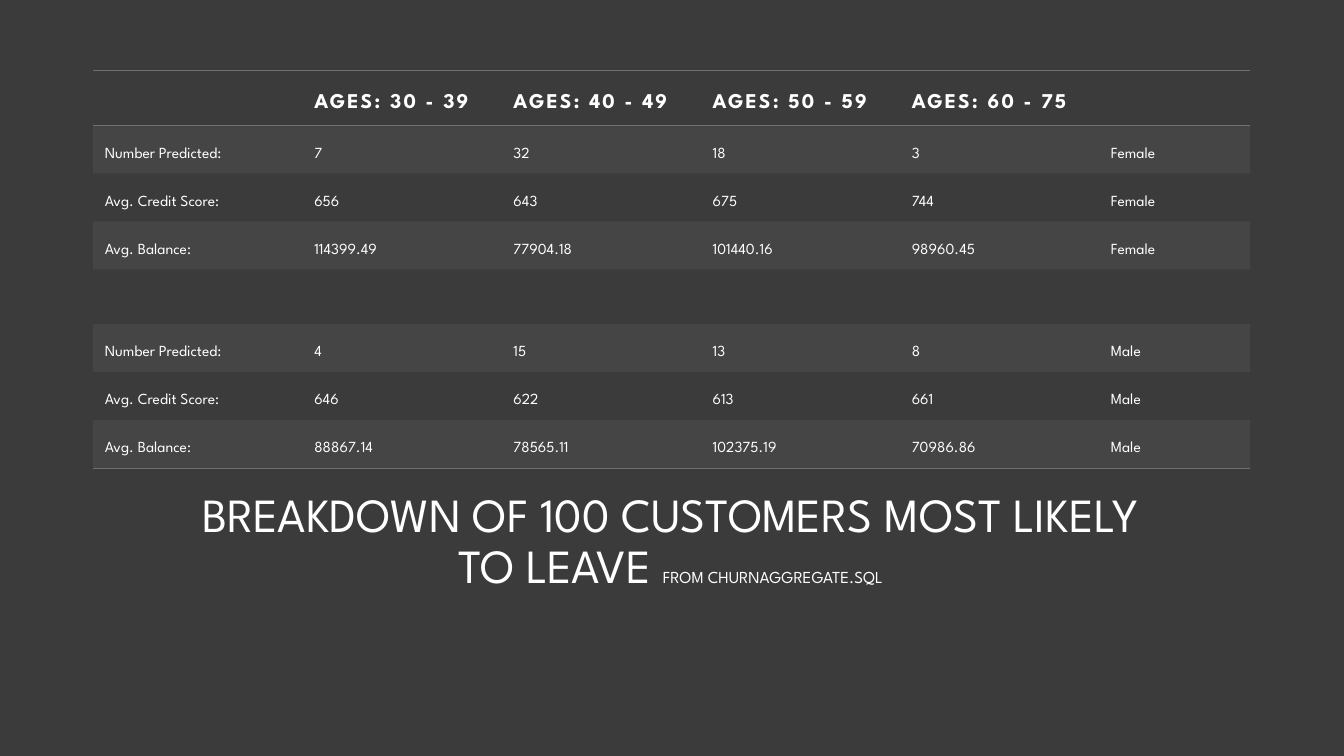
from lxml.etree import SubElement
from pptx import Presentation
from pptx.dml.color import RGBColor
from pptx.enum.text import MSO_ANCHOR, MSO_AUTO_SIZE, PP_ALIGN
from pptx.oxml.ns import qn
from pptx.util import Cm, Pt

TYPEFACE = "League Spartan"
WHITE = "FFFFFF"
GREY = "6F6F6F"
BACKDROP = "3B3B3B"
NO_GRID_STYLE = "{2D5ABB26-0587-4C30-8999-92F81FD0307C}"

HEADINGS = ["", "AGES: 30 - 39", "AGES: 40 - 49", "AGES: 50 - 59", "AGES: 60 - 75", ""]
MEASURES = ["Number Predicted:", "Avg. Credit Score:", "Avg. Balance:"]
FIGURES = {
    "Female": [
        ["7", "32", "18", "3"],
        ["656", "643", "675", "744"],
        ["114399.49", "77904.18", "101440.16", "98960.45"],
    ],
    "Male": [
        ["4", "15", "13", "8"],
        ["646", "622", "613", "661"],
        ["88867.14", "78565.11", "102375.19", "70986.86"],
    ],
}
COLUMN_WIDTHS = [5.28] + [5.02] * 4 + [3.81]
TALL_ROW, SHORT_ROW = 1.38, 1.21

CELL_FORMAT = {
    "vertical_anchor": MSO_ANCHOR.BOTTOM,
    "margin_left": Cm(0.3),
    "margin_right": Cm(0.3),
    "margin_top": Cm(0.3),
    "margin_bottom": Cm(0.3),
}
HEADING_FONT = {"name": TYPEFACE, "size": Pt(15), "bold": True}
FIGURE_FONT = {"name": TYPEFACE, "size": Pt(11), "bold": False}
TITLE_FONT = {"name": TYPEFACE, "size": Pt(34), "bold": False}
SOURCE_FONT = {"name": TYPEFACE, "size": Pt(12), "bold": False}
TITLE_FORMAT = {
    "word_wrap": True,
    "auto_size": MSO_AUTO_SIZE.NONE,
    "vertical_anchor": MSO_ANCHOR.BOTTOM,
}


def colour(hex_value):
    return RGBColor.from_string(hex_value)


def apply(target, settings):
    for attribute, value in settings.items():
        setattr(target, attribute, value)


def write(paragraph, wording, font_format):
    run = paragraph.add_run()
    run.text = wording
    apply(run.font, font_format)
    run.font.fill.solid()
    run.font.fill.fore_color.rgb = colour(WHITE)
    return run.font


def add_rule(cell, side):
    rule = SubElement(cell._tc.get_or_add_tcPr(), qn(f"a:{side}"), w=str(Pt(1)))
    SubElement(SubElement(rule, qn("a:solidFill")), qn("a:srgbClr"), val=GREY)


def shade(cell):
    cell.fill.solid()
    cell.fill.fore_color.rgb = colour(GREY)
    tint = cell._tc.tcPr.find(f"{qn('a:solidFill')}/{qn('a:srgbClr')}")
    SubElement(tint, qn("a:alpha"), val="20000")


def soften(font):
    effects = SubElement(font._element, qn("a:effectLst"))
    font.fill._xPr.find(qn("a:solidFill")).addnext(effects)
    shadow = SubElement(effects, qn("a:outerShdw"), blurRad="50800", dist="25400", dir="2700000")
    black = SubElement(shadow, qn("a:srgbClr"), val="000000")
    SubElement(black, qn("a:alpha"), val="40000")


def place_title(slide, left, top, width, height):
    title = slide.shapes.title
    apply(title, {"left": Cm(left), "top": Cm(top), "width": Cm(width), "height": Cm(height)})
    apply(title.text_frame, TITLE_FORMAT)
    paragraph = title.text_frame.paragraphs[0]
    apply(paragraph, {"alignment": PP_ALIGN.CENTER, "line_spacing": 0.9})
    soften(write(paragraph, "BREAKDOWN OF 100 CUSTOMERS MOST LIKELY TO LEAVE ", TITLE_FONT))
    write(paragraph, "FROM CHURNAGGREGATE.SQL", SOURCE_FONT)


def breakdown_rows():
    groups = [
        [[measure, *values, gender] for measure, values in zip(MEASURES, figures)]
        for gender, figures in FIGURES.items()
    ]
    return [HEADINGS, *groups[0], [""] * len(HEADINGS), *groups[1]]


def place_breakdown(slide, left, top):
    rows = breakdown_rows()
    heights = [SHORT_ROW if row[0] else TALL_ROW for row in rows]
    frame = slide.shapes.add_table(
        len(rows), len(HEADINGS), Cm(left), Cm(top), Cm(sum(COLUMN_WIDTHS)), Cm(sum(heights))
    )
    breakdown = frame.table
    breakdown.horz_banding = False
    for style in frame.element.iter(qn("a:tableStyleId")):
        style.text = NO_GRID_STYLE
    for column, width in zip(breakdown.columns, COLUMN_WIDTHS):
        column.width = Cm(width)
    for index, (row, height) in enumerate(zip(rows, heights)):
        breakdown.rows[index].height = Cm(height)
        for position, wording in enumerate(row):
            cell = breakdown.cell(index, position)
            if index == 0:
                add_rule(cell, "lnT")
            if index in (0, len(rows) - 1):
                add_rule(cell, "lnB")
            if index % 2:
                shade(cell)
            else:
                cell.fill.background()
            if wording:
                apply(cell, CELL_FORMAT)
                paragraph = cell.text_frame.paragraphs[0]
                font = write(paragraph, wording, FIGURE_FONT if index else HEADING_FONT)
                if index == 0:
                    font._element.set("spc", "150")


def main():
    presentation = Presentation()
    apply(presentation, {"slide_width": Cm(33.87), "slide_height": Cm(19.05)})
    slide = presentation.slides.add_slide(presentation.slide_layouts[5])
    slide.background.fill.solid()
    slide.background.fill.fore_color.rgb = colour(BACKDROP)
    place_title(slide, 4.85, 12.12, 24.1, 2.97)
    place_breakdown(slide, 2.34, 1.78)
    presentation.save("out.pptx")


if __name__ == "__main__":
    main()
